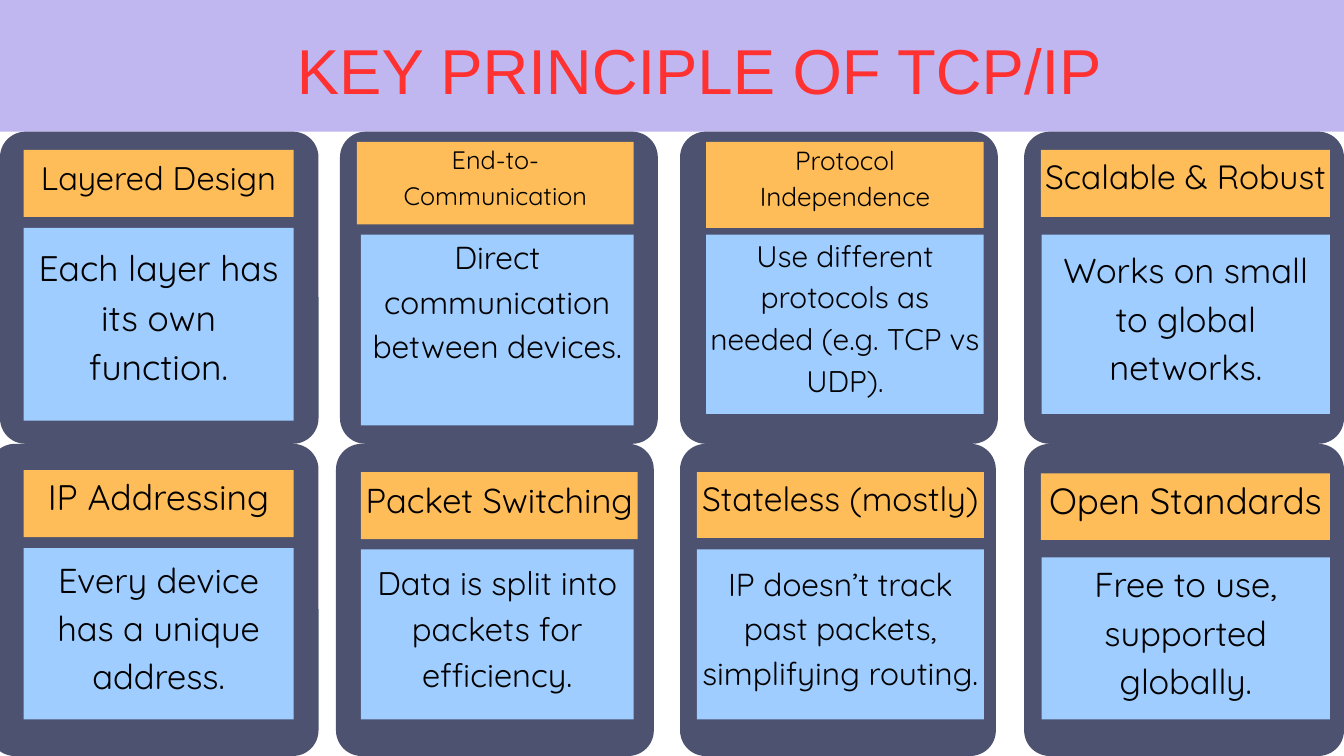
from pptx import Presentation
from pptx.dml.color import RGBColor
from pptx.enum.shapes import MSO_SHAPE as Shape
from pptx.enum.text import MSO_ANCHOR as Anchor, MSO_AUTO_SIZE as AutoSize, PP_ALIGN as Align
from pptx.util import Inches, Pt

WIDTH, HEIGHT, HEADER = 20, 11.25, 1.96
COLUMNS = (0, 5.06, 10.12, 15.24)
ROW_HEIGHT = (HEIGHT - HEADER) / 2
CORNER, PADDING, LEADING = 0.38, 0.06, 1.4
COLORS = {"lilac": "C0B6F0", "white": "FFFFFF", "slate": "4C5270", "orange": "FFBD59",
          "blue": "9FCDFF", "black": "000000", "red": "FF3131"}

TITLE = "KEY PRINCIPLE OF TCP/IP"
# card: offset from its column, width
# label and body: text, size, (x, y, width, height) from the grid cell, rise of the text above the panel
PRINCIPLES = [
    [
        {"card": (0, 4.74),
         "label": ("Layered Design", 35, (0.35, 0.27, 4.02, 1), 0.28),
         "body": ("Each layer has its own function.", 38, (0.35, 1.43, 4.02, 2.87), 0.32)},
        {"card": (0, 4.73),
         "label": ("End-to-Communication", 27, (0.25, 0.15, 4.12, 1.23), 0.24),
         "body": ("Direct communication between devices.", 34, (0.31, 1.53, 4.06, 2.84), 0.28),
         "spare_lines": 1},
        {"card": (0, 4.73),
         "label": ("Protocol Independence", 28, (0.39, 0.15, 4.13, 1.28), 0.28),
         "body": ("Use different protocols as needed (e.g. TCP vs UDP).", 32,
                  (0.39, 1.53, 4.13, 2.67), 0.28)},
        {"card": (0, 4.76),
         "label": ("Scalable & Robust", 36, (0.25, 0.27, 4.3, 1), 0.32),
         "body": ("Works on small to global networks.", 37, (0.26, 1.53, 4.29, 2.67), 0.28)},
    ],
    [
        {"card": (-0.16, 4.9),
         "label": ("IP Addressing", 38, (0.35, 0.39, 4.02, 1), 0.32),
         "body": ("Every device has a unique address.", 37, (0.35, 1.55, 4.02, 2.55), 0.28)},
        {"card": (-0.06, 4.73),
         "label": ("Packet Switching", 37, (0.31, 0.42, 4.12, 1), 0.28),
         "body": ("Data is split into packets for efficiency.", 35, (0.31, 1.57, 4.06, 2.53), 0.28)},
        {"card": (0, 4.7),
         "label": ("Stateless (mostly)", 36, (0.25, 0.42, 4.27, 0.98), 0.32),
         "body": ("IP doesn’t track past packets, simplifying routing.", 34,
                  (0.25, 1.57, 4.27, 2.53), 0.28)},
        {"card": (0, 4.76),
         "label": ("Open Standards", 39, (0.25, 0.44, 4.3, 0.99), 0.32),
         "body": ("Free to use, supported globally.", 37, (0.26, 1.69, 4.29, 2.41), 0.28)},
    ],
]


def rgb(name):
    return RGBColor.from_string(COLORS[name])


def add_block(page, kind, left, top, width, height, color):
    block = page.shapes.add_shape(kind, *map(Inches, (left, top, width, height)))
    block.shadow.inherit = False
    block.fill.solid()
    block.fill.fore_color.rgb = rgb(color)
    block.line.fill.background()
    return block


def set_text(box, text, size, font, color, padding, anchor):
    frame = box.text_frame
    frame.text = text
    frame.word_wrap = True
    frame.auto_size = AutoSize.NONE
    frame.vertical_anchor = anchor
    frame.margin_left = frame.margin_right = Inches(padding)
    frame.margin_top = frame.margin_bottom = Inches(padding)
    para = frame.paragraphs[0]
    para.alignment = Align.CENTER
    para.line_spacing = Pt(size * LEADING)
    span = para.runs[0].font
    span.name, span.size, span.color.rgb = font, Pt(size), rgb(color)


def add_panel(page, column, row, panel, color, spare_lines=0):
    """Add a filled panel and its text, centred above any spare lines."""
    text, size, (x, y, width, height), rise = panel
    left, top = column + x, row + y
    add_block(page, Shape.RECTANGLE, left, top, width, height, color)
    box = page.shapes.add_textbox(*map(Inches, (left, top - rise, width, height + rise)))
    set_text(box, text, size, "Quicksand", "black", PADDING, Anchor.MIDDLE)
    box.text_frame.margin_bottom += Pt(spare_lines * size * LEADING)


def main():
    deck = Presentation()
    deck.slide_width, deck.slide_height = Inches(WIDTH), Inches(HEIGHT)
    page = deck.slides.add_slide(deck.slide_layouts[5])
    page.background.fill.solid()
    page.background.fill.fore_color.rgb = rgb("lilac")

    title = page.shapes.title
    title.left, title.top, title.width, title.height = map(Inches, (1.95, 0.27, 16.93, 1.26))
    set_text(title, TITLE, 68, "Arial", "red", 0, Anchor.TOP)

    add_block(page, Shape.RECTANGLE, 0, HEADER, WIDTH, HEIGHT - HEADER, "white")
    for index, principles in enumerate(PRINCIPLES):
        row = HEADER + index * ROW_HEIGHT
        for column, principle in zip(COLUMNS, principles):
            offset, width = principle["card"]
            card = add_block(page, Shape.ROUNDED_RECTANGLE, column + offset, row,
                             width, ROW_HEIGHT, "slate")
            card.adjustments[0] = CORNER / min(width, ROW_HEIGHT)
            add_panel(page, column, row, principle["label"], "orange")
            add_panel(page, column, row, principle["body"], "blue",
                      principle.get("spare_lines", 0))

    deck.save("out.pptx")


if __name__ == "__main__":
    main()
